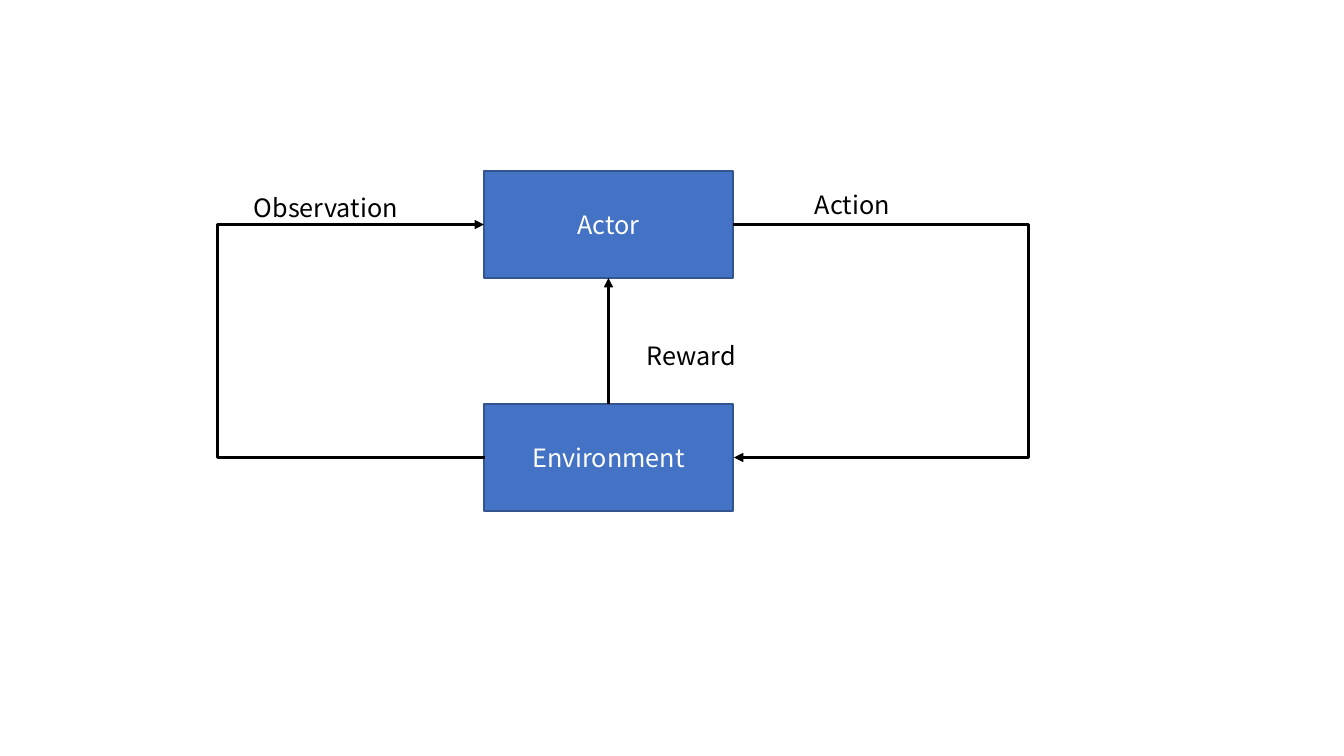
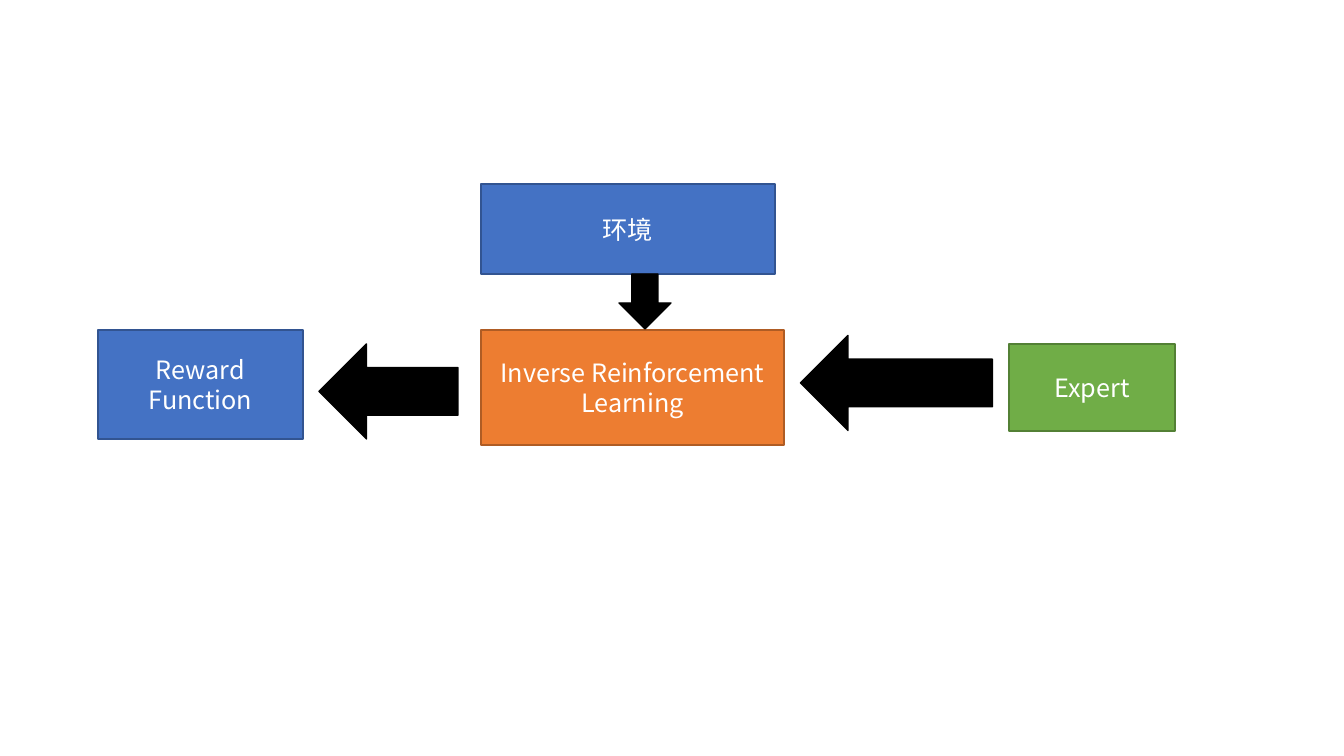
from lxml import etree
from pptx import Presentation
from pptx.dml.color import RGBColor
from pptx.enum.shapes import MSO_CONNECTOR, MSO_SHAPE
from pptx.enum.text import MSO_ANCHOR, MSO_AUTO_SIZE, PP_ALIGN
from pptx.oxml.ns import qn
from pptx.util import Pt

RECT, DOWN = MSO_SHAPE.RECTANGLE, MSO_SHAPE.DOWN_ARROW
LINE, BENT = MSO_CONNECTOR.STRAIGHT, MSO_CONNECTOR.ELBOW
LEFT, CENTER = PP_ALIGN.LEFT, PP_ALIGN.CENTER
TOP, MIDDLE = MSO_ANCHOR.TOP, MSO_ANCHOR.MIDDLE
GROW = MSO_AUTO_SIZE.SHAPE_TO_FIT_TEXT

FONT = "Noto Sans CJK SC"
BLACK = RGBColor(0x00, 0x00, 0x00)
WHITE = RGBColor(0xFF, 0xFF, 0xFF)
BLUE = RGBColor(0x44, 0x72, 0xC4), RGBColor(0x32, 0x54, 0x91)
ORANGE = RGBColor(0xED, 0x7D, 0x31), RGBColor(0xAF, 0x5C, 0x24)
GREEN = RGBColor(0x70, 0xAD, 0x47), RGBColor(0x53, 0x80, 0x35)
SOLID = BLACK, BLACK

# Slide 1: the loop between actor and environment (left, top, width, height)
ACTOR = 484, 171, 249, 107
WORLD = 484, 404, 249, 107
REACH = 270, 298  # how far the left and right loops extend
LABELS = [
    ("Observation", (244, 187, 216, 40)),
    ("Action", (805, 184, 216, 40)),
    ("Reward", (637, 335, 144, 40)),
]

# Slide 2: inverse reinforcement learning
BOXES = [
    ("Inverse Reinforcement Learning", (481, 330, 303, 115), ORANGE),
    ("Expert", (1009, 344, 166, 87), GREEN),
    ("环境", (481, 184, 294, 90), BLUE),
    ("Reward\nFunction", (98, 330, 205, 109), BLUE),
]
ARROWS = [  # frame before turning, turn in degrees
    ((619, 274, 52, 55), 0),
    ((849, 287, 95, 192), 90),
    ((341, 322, 95, 139), 90),
]

SCALE = 914400 / 100.8


def emu(*pixels):
    """Turn pixels into EMU."""
    return [round(n * SCALE) for n in pixels]


def write(shape, text, color=BLACK, align=LEFT, anchor=TOP, size=18):
    """Fill a shape with text, one paragraph a line."""
    frame = shape.text_frame
    frame.word_wrap = True
    frame.vertical_anchor = anchor
    frame.text = text
    for para in frame.paragraphs:
        para.alignment = align
        for run in para.runs:
            run.font.size = Pt(size)
            run.font.name = FONT
            run.font.color.rgb = color
            props = run.font._element
            etree.SubElement(props, qn("a:ea"), typeface=FONT)


def draw(slide, kind, frame, colors, turn=0):
    """Add a filled shape with a thin outline."""
    shape = slide.shapes.add_shape(kind, *emu(*frame))
    shape.shadow.inherit = False
    shape.rotation = turn
    shape.fill.solid()
    shape.fill.fore_color.rgb, shape.line.color.rgb = colors
    shape.line.width = Pt(1)
    return shape


def box(slide, text, frame, colors):
    """Add a box with centred white text."""
    shape = draw(slide, RECT, frame, colors)
    write(shape, text, color=WHITE, align=CENTER, anchor=MIDDLE)


def label(slide, text, frame):
    """Add a plain text label."""
    shape = slide.shapes.add_textbox(*emu(*frame))
    write(shape, text)
    shape.text_frame.auto_size = GROW


def link(slide, kind, start, end):
    """Add a black connector with an arrowhead at its end."""
    line = slide.shapes.add_connector(kind, *emu(*start, *end))
    line.line.color.rgb = BLACK
    line.line.width = Pt(2.25)
    etree.SubElement(line.line._get_or_add_ln(), qn("a:tailEnd"), type="triangle")
    etree.SubElement(line._element.spPr, qn("a:effectLst"))
    return line


def loop(slide, side, upper, lower, reach, turn=0):
    """Add a bent arrow that swings out sideways; turn is in degrees."""
    step = 1
    line = link(slide, BENT, (side, upper), (side + step, lower))
    props = line._element.spPr
    props.find(qn("a:xfrm")).set("rot", str(turn * 60000))
    guides = props.find(qn("a:prstGeom")).get_or_add_avLst()
    bend = round(reach / step * 100000)
    etree.SubElement(guides, qn("a:gd"), name="adj1", fmla=f"val {bend}")


def cycle(slide):
    """Build the actor and environment loop."""
    box(slide, "Actor", ACTOR, BLUE)
    box(slide, "Environment", WORLD, BLUE)
    left, top, width, height = ACTOR
    floor = WORLD[1]
    upper, lower = top + height / 2, floor + height / 2
    mid = left + width / 2
    loop(slide, left, upper, lower, REACH[0], turn=180)
    loop(slide, left + width, upper, lower, REACH[1])
    link(slide, LINE, (mid, floor), (mid, top + height))
    for text, frame in LABELS:
        label(slide, text, frame)


def inverse(slide):
    """Build the inverse learning flow."""
    for text, frame, colors in BOXES:
        box(slide, text, frame, colors)
    for frame, turn in ARROWS:
        draw(slide, DOWN, frame, SOLID, turn=turn)


deck = Presentation()
deck.slide_width, deck.slide_height = emu(1344, 756)
for build in (cycle, inverse):
    build(deck.slides.add_slide(deck.slide_layouts[6]))
deck.save("out.pptx")
